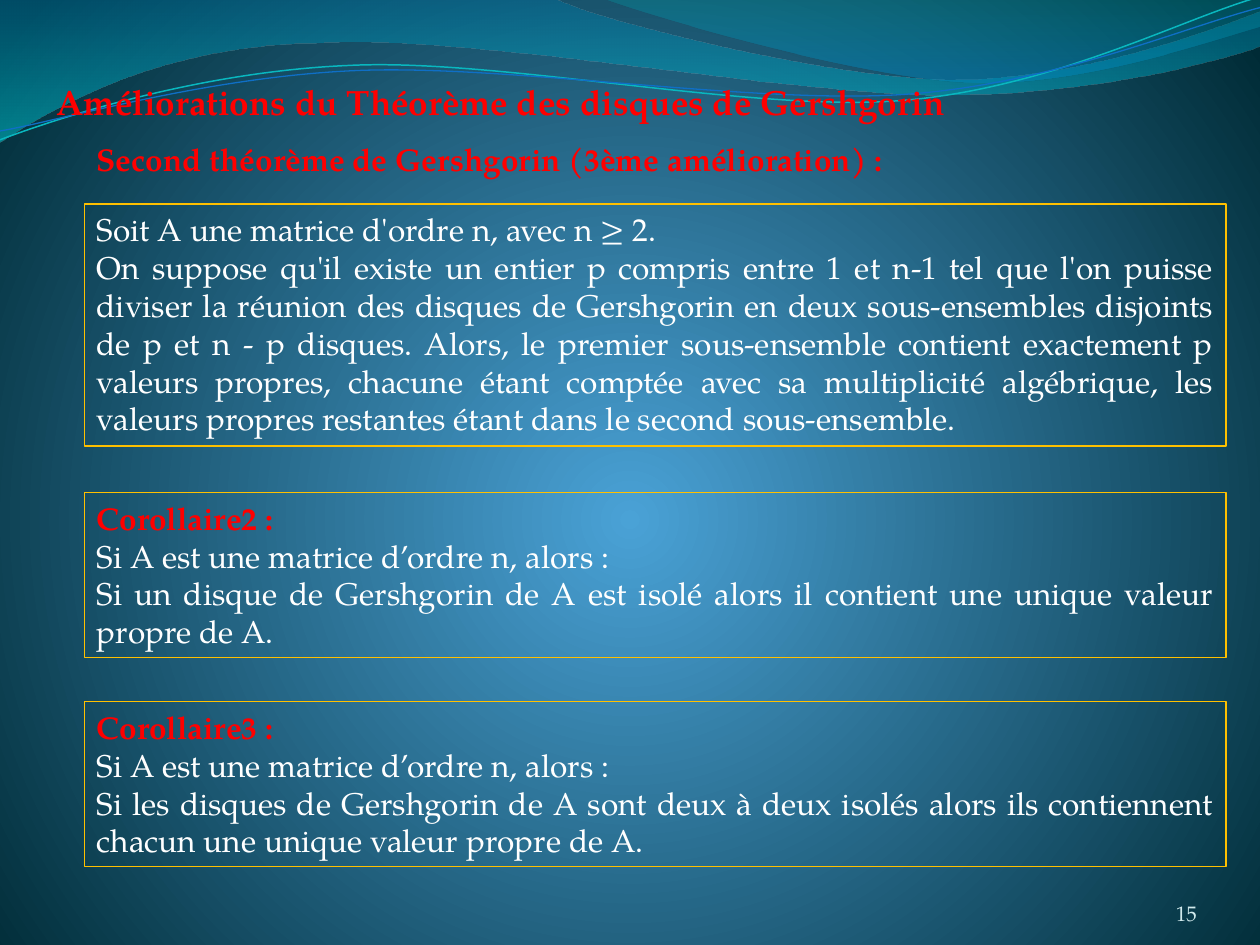
from dataclasses import dataclass
from math import cos, radians, sin

from pptx import Presentation
from pptx.dml.color import RGBColor
from pptx.enum.shapes import MSO_SHAPE
from pptx.enum.text import MSO_ANCHOR, MSO_AUTO_SIZE, PP_ALIGN
from pptx.oxml import parse_xml
from pptx.oxml.ns import nsdecls, qn
from pptx.util import Inches, Pt

FONT = "TeX Gyre Pagella"
COLORS = {
    "heading": "FF0000", "text": "FFFFFF", "border": "FFC000", "number": "D1EAED",
    "glow": "4AA2D6", "night": "002B36", "blue": "0074A0", "teal": "00C4CD",
    "sky": "008ABF", "sea": "00A0A8", "cyan line": "09B7BF", "blue line": "0F6FC6",
}
CENTER_GLOW = ('<a:path path="circle"><a:fillToRect l="50000" t="55000" '
               'r="50000" b="45000"/></a:path>')


@dataclass
class Stop:
    position: int
    color: str
    opacity: int = 100


@dataclass
class Wave:
    """Box, start point, then segments of one (line) or three (Bezier) points."""
    box: tuple
    start: tuple
    segments: list
    stops: tuple = ()
    angle: int = 0
    line_color: str = ""
    line_width: float = 0
    rotation: float = 0


@dataclass
class Statement:
    top: float
    height: float
    heading: str
    lines: list


WAVES = [
    Wave((-0.01, -0.01, 10.02, 1.14), (0, 0), [
        [(4.4, -0.01)],
        [(4.76, 0.17), (6.64, 0.63), (7.58, 0.63)],
        [(8.53, 0.63), (9.58, 0.26), (10, 0.09)],
        [(10.01, 0.36)],
        [(9.83, 0.44), (8.7, 0.76), (7.46, 0.75)],
        [(6.22, 0.75), (3.82, 0.28), (2.57, 0.34)],
        [(1.29, 0.35), (0.46, 0.83), (-0.01, 1.13)],
        [(0, 0)],
    ], stops=(Stop(0, "blue", 45), Stop(100, "teal", 55)), angle=90),
    Wave((4.79, -0.01, 5.21, 0.7), (4.79, -0.01), [
        [(5.09, 0.11), (6.82, 0.62), (7.69, 0.65)],
        [(8.56, 0.69), (9.61, 0.32), (10, 0.21)],
        [(10, 0)],
        [(4.79, -0.01)],
    ], stops=(Stop(20, "sky", 45), Stop(100, "sea", 30)), angle=270),
    Wave((-0.02, 0.22, 10.02, 0.71), (0, 1.11), [
        [(0.48, 0.93), (1.58, 0.57), (2.77, 0.52)],
        [(3.95, 0.46), (5.93, 0.89), (7.13, 0.8)],
        [(8.33, 0.71), (9.38, 0.15), (9.98, -0.02)],
    ], line_color="cyan line", line_width=0.85, rotation=-2.7),
    Wave((-0.02, 0.3, 10.03, 0.58), (0, 1.04), [
        [(0.47, 0.96), (1.64, 0.61), (2.83, 0.56)],
        [(4.03, 0.51), (5.97, 0.83), (7.17, 0.75)],
        [(8.36, 0.67), (9.41, 0.21), (10, 0.06)],
    ], line_color="blue line", line_width=0.75, rotation=-2.7),
]

STATEMENTS = [
    Statement(1.62, 1.92, "", [
        "Soit A une matrice d'ordre n, avec n ≥ 2.",
        "On suppose qu'il existe un entier p compris entre 1 et n-1 tel que l'on puisse "
        "diviser la réunion des disques de Gershgorin en deux sous-ensembles disjoints "
        "de p et n - p disques. Alors, le premier sous-ensemble contient exactement p "
        "valeurs propres, chacune étant comptée avec sa multiplicité algébrique, les "
        "valeurs propres restantes étant dans le second sous-ensemble.",
    ]),
    Statement(3.91, 1.31, "Corollaire2 :", [
        "Si A est une matrice d’ordre n, alors :",
        "Si un disque de Gershgorin de A est isolé alors il contient une unique valeur "
        "propre de A.",
    ]),
    Statement(5.57, 1.31, "Corollaire3 :", [
        "Si A est une matrice d’ordre n, alors :",
        "Si les disques de Gershgorin de A sont deux à deux isolés alors ils contiennent "
        "chacun une unique valeur propre de A.",
    ]),
]


def rgb(name: str) -> RGBColor:
    return RGBColor.from_string(COLORS[name])


def set_gradient(fill, properties, stops: tuple, direction: str) -> None:
    fill.gradient()
    stop_xml = "".join(
        f'<a:gs pos="{stop.position * 1000}"><a:srgbClr val="{COLORS[stop.color]}">'
        f'<a:alpha val="{stop.opacity * 1000}"/></a:srgbClr></a:gs>' for stop in stops)
    gradient = parse_xml(f'<a:gradFill {nsdecls("a")} rotWithShape="1">'
                         f'<a:gsLst>{stop_xml}</a:gsLst>{direction}</a:gradFill>')
    properties.replace(properties.find(qn("a:gradFill")), gradient)


def curve_outline(wave: Wave):
    """Build the outline in the wave's own box, before its rotation."""
    left, top, width, height = wave.box
    turn = radians(-wave.rotation)

    def point_xml(point: tuple) -> str:
        across = point[0] - left - width / 2
        down = point[1] - top - height / 2
        x = width / 2 + across * cos(turn) - down * sin(turn)
        y = height / 2 + across * sin(turn) + down * cos(turn)
        return f'<a:pt x="{Inches(x)}" y="{Inches(y)}"/>'

    commands = f"<a:moveTo>{point_xml(wave.start)}</a:moveTo>"
    for segment in wave.segments:
        tag = "lnTo" if len(segment) == 1 else "cubicBezTo"
        commands += f"<a:{tag}>{''.join(map(point_xml, segment))}</a:{tag}>"
    if wave.stops:
        commands += "<a:close/>"
    return parse_xml(f'<a:path {nsdecls("a")} w="{Inches(width)}" h="{Inches(height)}">'
                     f'{commands}</a:path>')


def draw_wave(slide, wave: Wave) -> None:
    left, top, width, height = map(Inches, wave.box)
    builder = slide.shapes.build_freeform(left, top)
    builder.add_line_segments([(left + width, top + height)], close=False)
    shape = builder.convert_to_shape()
    properties = shape._element.spPr
    outline = properties.find(".//" + qn("a:path"))
    outline.getparent().replace(outline, curve_outline(wave))
    shape.rotation = wave.rotation
    shape.shadow.inherit = False
    if wave.stops:
        direction = f'<a:lin ang="{wave.angle * 60000}" scaled="0"/>'
        set_gradient(shape.fill, properties, wave.stops, direction)
        shape.line.fill.background()
    else:
        shape.fill.background()
        shape.line.color.rgb = rgb(wave.line_color)
        shape.line.width = Pt(wave.line_width)


def format_paragraph(paragraph, size: int, color: str, bold: bool = False,
                     alignment=PP_ALIGN.JUSTIFY) -> None:
    paragraph.alignment = alignment
    for run in paragraph.runs:
        run.font.name = FONT
        run.font.size = Pt(size)
        run.font.bold = bold
        run.font.color.rgb = rgb(color)


def fill_frame(frame, text: str, anchor=MSO_ANCHOR.TOP) -> None:
    frame.text = text
    frame.word_wrap = True
    frame.auto_size = MSO_AUTO_SIZE.SHAPE_TO_FIT_TEXT
    frame.vertical_anchor = anchor


def draw_statement(slide, statement: Statement) -> None:
    shape = slide.shapes.add_shape(MSO_SHAPE.RECTANGLE, Inches(0.67), Inches(statement.top),
                                   Inches(9.06), Inches(statement.height))
    shape.shadow.inherit = False
    shape.fill.background()
    shape.line.color.rgb = rgb("border")
    shape.line.width = Pt(0)
    heading = [statement.heading] if statement.heading else []
    fill_frame(shape.text_frame, "\n".join(heading + statement.lines))
    for index, paragraph in enumerate(shape.text_frame.paragraphs):
        is_heading = index < len(heading)
        format_paragraph(paragraph, 18, "heading" if is_heading else "text", is_heading)


def place_title(slide, text: str) -> None:
    title = slide.shapes.title
    title.left, title.top = Inches(0.35), Inches(0.59)
    title.width, title.height = Inches(7.94), Inches(0.44)
    fill_frame(title.text_frame, text)
    format_paragraph(title.text_frame.paragraphs[0], 20, "heading", True)
    slide.shapes._spTree.append(title._element)  # in front of the waves


def main() -> None:
    presentation = Presentation()
    presentation.slide_width, presentation.slide_height = Inches(10), Inches(7.5)
    slide = presentation.slides.add_slide(presentation.slide_layouts[5])
    background_fill = slide.background.fill
    set_gradient(background_fill, slide._element.find(".//" + qn("p:bgPr")),
                 (Stop(0, "glow"), Stop(100, "night")), CENTER_GLOW)
    for wave in WAVES:
        draw_wave(slide, wave)

    number = slide.shapes.add_textbox(Inches(8.67), Inches(6.95), Inches(0.83), Inches(0.4))
    frame = number.text_frame
    fill_frame(frame, "15", MSO_ANCHOR.BOTTOM)
    frame.auto_size = MSO_AUTO_SIZE.NONE
    frame.margin_left = frame.margin_right = frame.margin_top = frame.margin_bottom = 0
    format_paragraph(frame.paragraphs[0], 12, "number", alignment=PP_ALIGN.RIGHT)

    subtitle = slide.shapes.add_textbox(Inches(0.67), Inches(1.06), Inches(6.46), Inches(0.4))
    fill_frame(subtitle.text_frame, "Second théorème de Gershgorin (3ème amélioration) :")
    format_paragraph(subtitle.text_frame.paragraphs[0], 18, "heading", True)
    for statement in STATEMENTS:
        draw_statement(slide, statement)
    place_title(slide, "Améliorations du Théorème des disques de Gershgorin")
    presentation.save("out.pptx")


if __name__ == "__main__":
    main()
